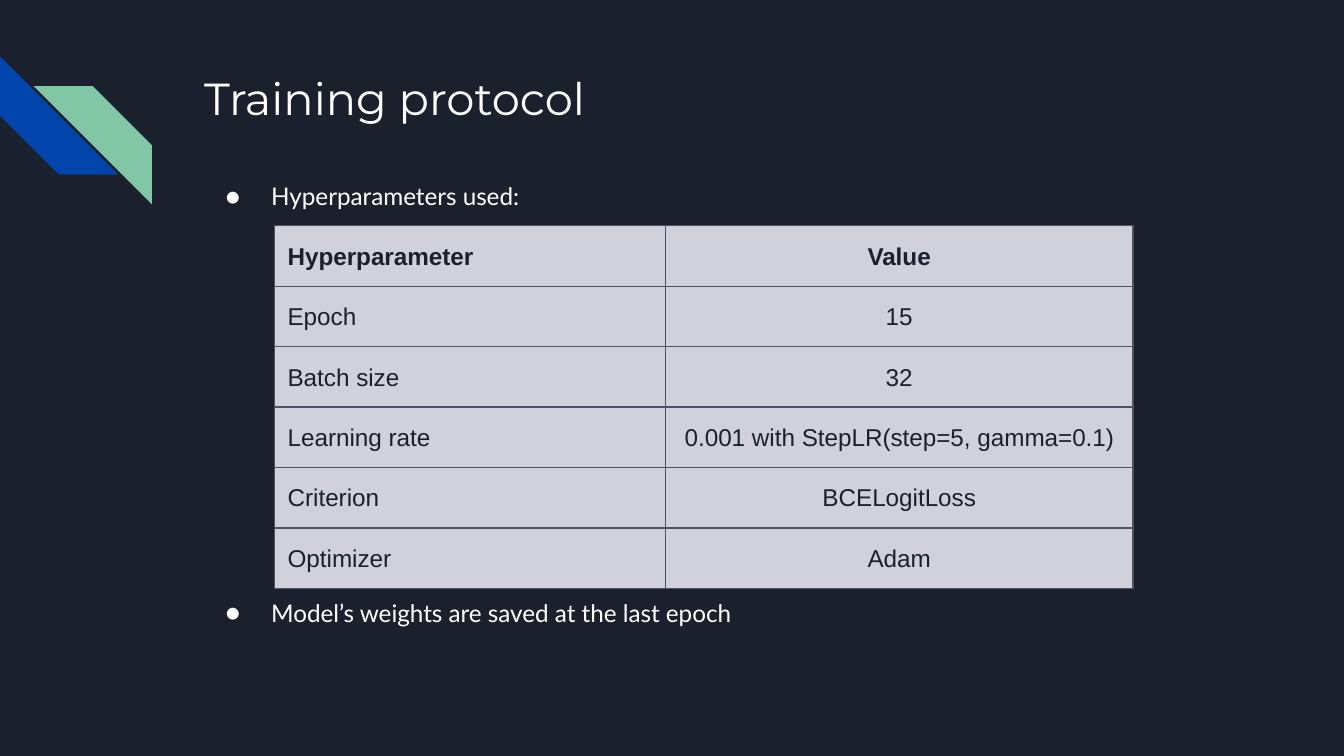
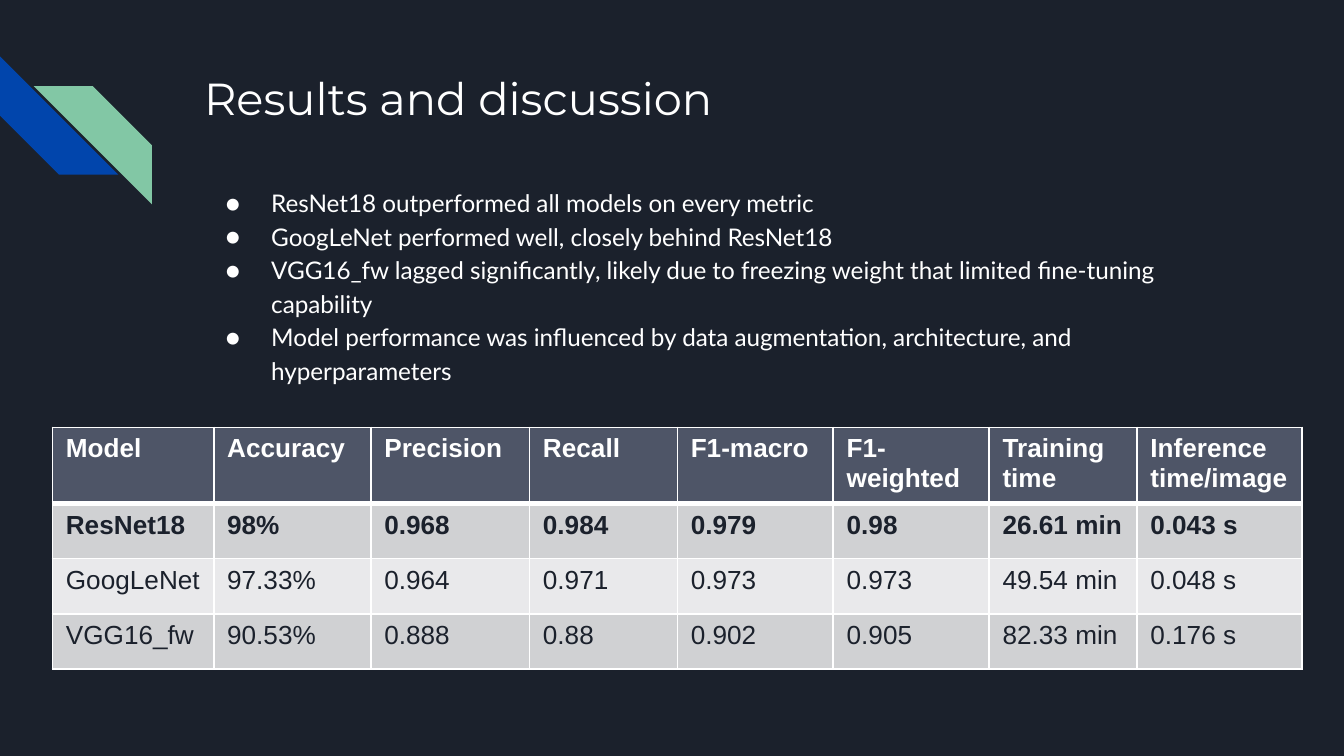
from lxml.etree import SubElement as Sub
from pptx import Presentation
from pptx.dml.color import RGBColor
from pptx.enum.shapes import MSO_SHAPE as SHAPE
from pptx.enum.text import PP_ALIGN as ALIGN
from pptx.oxml.ns import qn
from pptx.util import Inches, Pt

# Content
PROTOCOL = {
    "title": "Training protocol",
    "bullets": ["Hyperparameters used:", "Model’s weights are saved at the last epoch"],
    "rows": [
        ("Hyperparameter", "Value"),
        ("Epoch", "15"),
        ("Batch size", "32"),
        ("Learning rate", "0.001 with StepLR(step=5, gamma=0.1)"),
        ("Criterion", "BCELogitLoss"),
        ("Optimizer", "Adam"),
    ],
}
RESULTS = {
    "title": "Results and discussion",
    "bullets": [
        "ResNet18 outperformed all models on every metric",
        "GoogLeNet performed well, closely behind ResNet18",
        "VGG16_fw lagged significantly, likely due to freezing weight that limited fine-tuning capability",
        "Model performance was influenced by data augmentation, architecture, and hyperparameters",
    ],
    "rows": [
        ("Model", "Accuracy", "Precision", "Recall", "F1-macro", "F1-weighted",
         "Training time", "Inference time/image"),
        ("ResNet18", "98%", "0.968", "0.984", "0.979", "0.98", "26.61 min", "0.043 s"),
        ("GoogLeNet", "97.33%", "0.964", "0.971", "0.973", "0.973", "49.54 min", "0.048 s"),
        ("VGG16_fw", "90.53%", "0.888", "0.88", "0.902", "0.905", "82.33 min", "0.176 s"),
    ],
}

# Shared look
C = {"bg": "1B212C", "blue": "0145AC", "green": "82C7A5", "white": "FFFFFF",
     "slate": "4C5365", "lavender": "D0D1DB", "head": "4E5567",
     "band": "D0D1D3", "light": "E9E9EB"}
W = 10
H = W * 9 / 16
TEXT_LEFT, TEXT_WIDTH = 1.42, 7.7
STRIPE = 0.88


def rgb(name):
    return RGBColor.from_string(C[name])


def set_font(p, face, size, color, bold=False):
    p.font.name, p.font.size, p.font.bold = face, Pt(size), bold
    p.font.color.rgb = rgb(color)


def add_stripe(shapes, x, y, color):
    sp = shapes.add_shape(SHAPE.DIAGONAL_STRIPE, *map(Inches, (x, y, STRIPE, STRIPE)))
    sp.adjustments[0] = 0.5
    sp.shadow.inherit = False
    sp.fill.solid()
    sp.fill.fore_color.rgb = rgb(color)
    sp.line.fill.background()
    return sp


def add_text(s, y, h):
    tf = s.shapes.add_textbox(*map(Inches, (TEXT_LEFT, y, TEXT_WIDTH, h))).text_frame
    tf.word_wrap = True
    tf.margin_left = tf.margin_right = tf.margin_top = tf.margin_bottom = Inches(0.1)
    return tf


def add_slide(prs, title):
    s = prs.slides.add_slide(prs.slide_layouts[6])
    s.background.fill.solid()
    s.background.fill.fore_color.rgb = rgb("bg")
    # Corner stripes
    corner = s.shapes.add_group_shape().shapes
    add_stripe(corner, 0, 0.42, "blue").rotation = 270
    green = add_stripe(corner, 0.25, 0.64, "green")
    green.element.spPr.find(qn("a:xfrm")).set("flipH", "1")
    # Title
    p = add_text(s, 0.43, 1).paragraphs[0]
    p.text = title
    set_font(p, "Montserrat", 24, "white")
    return s


def add_bullets(s, y, h, items, gap=0):
    tf = add_text(s, y, h)
    for i, item in enumerate(items):
        p = tf.add_paragraph() if i else tf.paragraphs[0]
        p.text = item
        pPr = p._p.get_or_add_pPr()
        pPr.set("marL", str(Inches(0.5)))
        pPr.set("indent", str(Inches(-0.34)))
        Sub(Sub(pPr, qn("a:buClr")), qn("a:srgbClr"), val=C["white"])
        Sub(pPr, qn("a:buSzPts"), val="1300")
        Sub(pPr, qn("a:buFont"), typeface="Lato")
        Sub(pPr, qn("a:buChar"), char="●")
        p.line_spacing = 1.15
        if i and gap:
            p.space_before = Pt(gap)
        set_font(p, "Lato", 13, "white")


def set_borders(cell, color, widths):
    tcPr = cell._tc.get_or_add_tcPr()
    for side, width in zip("LRTB", widths):
        ln = Sub(tcPr, qn(f"a:ln{side}"), w=str(Pt(width)))
        Sub(Sub(ln, qn("a:solidFill")), qn("a:srgbClr"), val=C[color])


def add_table(s, x, y, rows, cols, height, size, style):
    """style(row) gives fill, text colour, bold, border colour and L, R, T, B widths."""
    table = s.shapes.add_table(len(rows), len(cols), Inches(x), Inches(y),
                               Inches(sum(cols)), Inches(height * len(rows))).table
    table.first_row = table.horz_banding = False
    for col, width in zip(table.columns, cols):
        col.width = Inches(width)
    for r, row in enumerate(rows):
        table.rows[r].height = Inches(height)
        fill, color, bold, border, widths = style(r)
        for c, text in enumerate(row):
            cell = table.cell(r, c)
            set_borders(cell, border, widths)
            cell.fill.solid()
            cell.fill.fore_color.rgb = rgb(fill)
            p = cell.text_frame.paragraphs[0]
            p.text = text
            set_font(p, "Arial", size, color, bold)
    return table


def protocol_style(r):
    return "lavender", "bg", r == 0, "slate", [0.75] * 4


def results_style(r):
    fill = "head" if r == 0 else "band" if r % 2 else "light"
    top, bottom = (3 if r == 1 else 1), (3 if r == 0 else 1)
    return fill, "bg" if r else "white", r < 2, "white", (1, 1, top, bottom)


def build_protocol(prs):
    s = add_slide(prs, PROTOCOL["title"])
    # The second bullet falls below the table
    add_bullets(s, 1.22, 3.97, PROTOCOL["bullets"], gap=205)
    table = add_table(s, 2.04, 1.68, PROTOCOL["rows"], (2.91, 3.48), 0.4, 13, protocol_style)
    for i, cell in enumerate(table.iter_cells()):
        cell.margin_top = cell.margin_bottom = Inches(0.1)
        p = cell.text_frame.paragraphs[0]
        p.line_spacing = 1.15
        p.alignment = ALIGN.CENTER if i % 2 else ALIGN.LEFT


def build_results(prs):
    s = add_slide(prs, RESULTS["title"])
    add_bullets(s, 1.27, 1.78, RESULTS["bullets"])
    add_table(s, 0.39, 3.18, RESULTS["rows"],
              (1.2, 1.17, 1.18, 1.1, 1.16, 1.16, 1.1, 1.23), 0.41, 14, results_style)


def main():
    prs = Presentation()
    prs.slide_width, prs.slide_height = Inches(W), Inches(H)
    build_protocol(prs)
    build_results(prs)
    prs.save("out.pptx")


if __name__ == "__main__":
    main()
